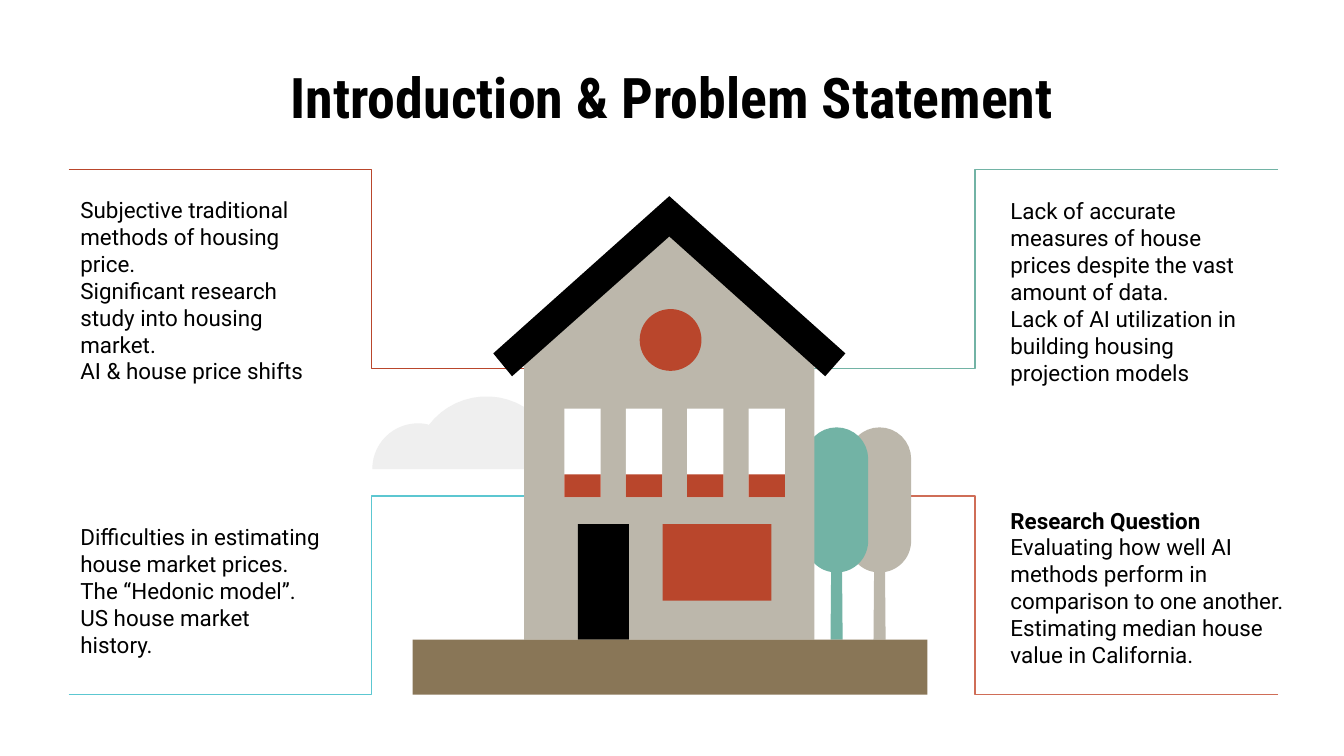
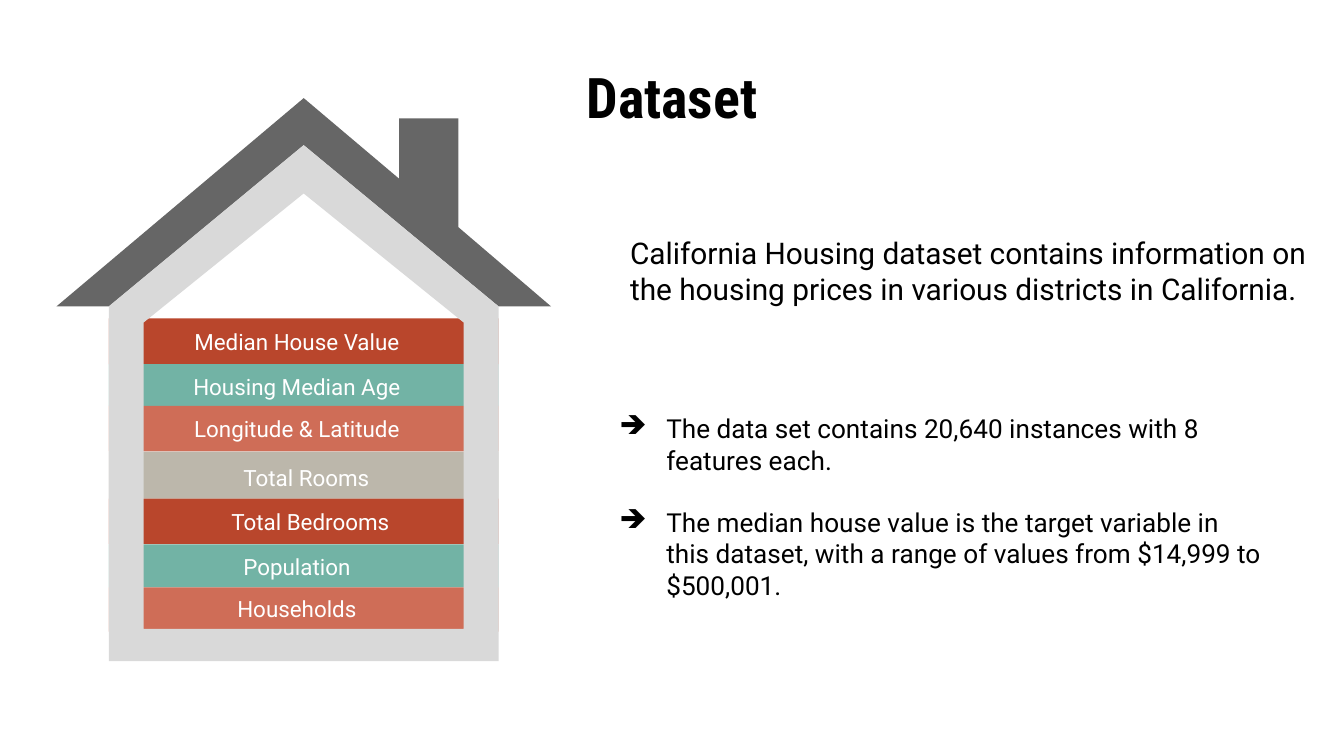
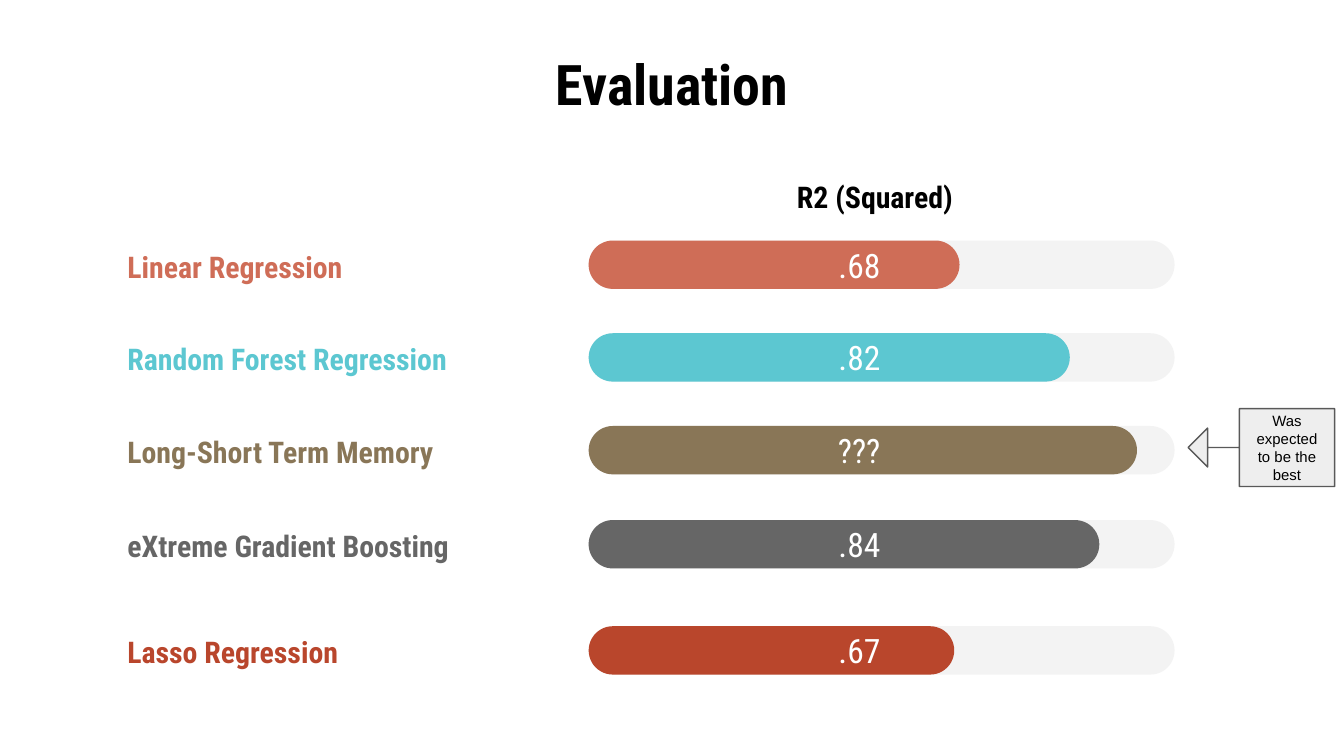
from math import cos, radians, sin

from lxml.etree import SubElement
from pptx import Presentation
from pptx.dml.color import RGBColor
from pptx.enum.shapes import MSO_CONNECTOR, MSO_SHAPE
from pptx.enum.text import MSO_ANCHOR, MSO_AUTO_SIZE, PP_ALIGN
from pptx.oxml.ns import qn
from pptx.util import Emu, Pt

# Shared look
BLACK = RGBColor(0x00, 0x00, 0x00)
WHITE = RGBColor(0xFF, 0xFF, 0xFF)
BRICK = RGBColor(0xB9, 0x46, 0x2C)
CORAL = RGBColor(0xCF, 0x6D, 0x57)
TEAL = RGBColor(0x72, 0xB3, 0xA5)
CYAN = RGBColor(0x5C, 0xC7, 0xD1)
STONE = RGBColor(0xBC, 0xB7, 0xAB)
EARTH = RGBColor(0x89, 0x76, 0x57)
SLATE = RGBColor(0x66, 0x66, 0x66)
WALL = RGBColor(0xD9, 0xD9, 0xD9)
CLOUD = RGBColor(0xEF, 0xEF, 0xEF)
TRACK = RGBColor(0xF3, 0xF3, 0xF3)
NOTE_FILL = RGBColor(0xEE, 0xEE, 0xEE)
NOTE_LINE = RGBColor(0x59, 0x59, 0x59)
BODY_FONT, HEAD_FONT, NOTE_FONT = "Roboto", "Roboto Condensed", "Arial"
LEFT, CENTER, RIGHT = PP_ALIGN.LEFT, PP_ALIGN.CENTER, PP_ALIGN.RIGHT
TOP, MIDDLE = MSO_ANCHOR.TOP, MSO_ANCHOR.MIDDLE
INSET = 10


def px(length):
    """100 px make one inch."""
    return Emu(round(length * 9144))


def write(shape, paras, size, font=BODY_FONT, color=BLACK, bold=False, align=LEFT, anchor=TOP):
    frame = shape.text_frame
    frame.word_wrap = True
    frame.auto_size = MSO_AUTO_SIZE.NONE
    frame.vertical_anchor = anchor
    frame.margin_left = frame.margin_right = px(INSET)
    frame.margin_top = frame.margin_bottom = px(INSET)
    for index, text in enumerate(paras):
        para = frame.add_paragraph() if index else frame.paragraphs[0]
        para.alignment = align
        span = para.add_run()
        span.text = text
        span.font.name = font
        span.font.size = Pt(size)
        span.font.bold = bold
        span.font.color.rgb = color
    return frame.paragraphs


def add_text(page, box, paras, size, **style):
    return write(page.shapes.add_textbox(*map(px, box)), paras, size, **style)


def paint(shape, fill, line=None):
    shape.shadow.inherit = False
    shape.fill.solid()
    shape.fill.fore_color.rgb = fill
    if line is None:
        shape.line.fill.background()
    else:
        shape.line.color.rgb = line
        shape.line.width = Pt(0.75)


def add_block(page, box, fill, kind=MSO_SHAPE.RECTANGLE, line=None):
    shape = page.shapes.add_shape(kind, *map(px, box))
    paint(shape, fill, line)
    return shape


def add_outline(page, left, top, fill, *contours):
    """Closed contours, with points measured from (left, top)."""
    builder = None
    for points in contours:
        spots = [(px(left + x), px(top + y)) for x, y in points]
        if builder is None:
            builder = page.shapes.build_freeform(*spots[0])
        else:
            builder.move_to(*spots[0])
        builder.add_line_segments(spots[1:], close=True)
    paint(builder.convert_to_shape(), fill)


def arc(x, y, radius, start, end, steps=16):
    """Points along a circle, clockwise from start to end in degrees."""
    angles = [radians(start + (end - start) * step / steps) for step in range(steps + 1)]
    return [(x + radius * cos(angle), y + radius * sin(angle)) for angle in angles]


def add_page(deck, title, top=45):
    page = deck.slides.add_slide(deck.slide_layouts[5])
    head = page.shapes.title
    head.left, head.top, head.width, head.height = map(px, (50, top, 900, 53))
    write(head, [title], 30, font=HEAD_FONT, bold=True, align=CENTER, anchor=MIDDLE)
    return page


# Introduction
def add_leader(page, start, end, color):
    leader = page.shapes.add_connector(MSO_CONNECTOR.ELBOW, *map(px, start + end))
    leader.line.color.rgb = color
    leader.line.width = Pt(0.75)
    SubElement(leader._element.spPr, qn("a:effectLst"))


def draw_tree(page, left, top, color):
    outline = arc(23.5, 23.5, 23.5, 180, 360) + arc(23.5, 84.5, 23.5, 0, 80)
    outline += [(28, 158), (19, 158)] + arc(23.5, 84.5, 23.5, 100, 180)
    add_outline(page, left, top, color, outline)


def draw_cloud(page, left, top):
    bumps = [(34, 54, 34, 180, 283), (85, 54, 54, 217, 329),
             (151, 52, 32, 232, 334), (195, 54, 21.5, 227, 360)]
    add_outline(page, left, top, CLOUD, [spot for bump in bumps for spot in arc(*bump)])


def draw_townhouse(page, left, top):
    # Walls and roof
    add_outline(page, left, top, STONE,
                [(131, 15), (23, 115), (23, 330), (239, 330), (239, 115)])
    add_outline(page, left, top, BLACK,
                [(131, 0), (0, 117), (14, 134), (131, 30), (247, 134), (262, 117)])
    # Door, shop window and round window
    add_block(page, (left + 63, top + 244, 38, 86), BLACK)
    add_block(page, (left + 126, top + 244, 81, 57), BRICK)
    add_block(page, (left + 109, top + 84, 46, 46), BRICK, MSO_SHAPE.OVAL)
    # Upper windows with flower boxes
    for column in range(4):
        window = left + 53 + column * 45.67
        add_block(page, (window, top + 158, 27, 66), WHITE)
        add_block(page, (window, top + 207, 27, 17), BRICK)
    # Ground
    add_block(page, (left - 60, top + 330, 383, 41), EARTH)


def build_introduction(deck):
    page = add_page(deck, "Introduction & Problem Statement")
    add_leader(page, (951, 517), (500, 369), CORAL)
    add_leader(page, (51, 517), (502, 369), CYAN)
    add_leader(page, (951, 126), (500, 274), TEAL)
    add_leader(page, (51, 126), (502, 274), BRICK)

    add_text(page, (50, 137, 200, 158), [
        "Subjective traditional methods of housing price.",
        "Significant research study into housing market.",
        "AI & house price shifts"], 12, anchor=MIDDLE)
    add_text(page, (50, 369, 200, 141), [
        "Difficulties in estimating house market prices.",
        "The “Hedonic model”.",
        "US house market history."], 12, anchor=MIDDLE)
    add_text(page, (742, 137, 200, 161), [
        "Lack of accurate measures of house prices despite the vast amount of data.",
        "Lack of AI utilization in building housing projection models"], 12)
    question = add_text(page, (742, 367, 250, 158), [
        "Research Question",
        "Evaluating how well AI methods perform in comparison to one another.",
        "Estimating median house value in California."], 12)
    question[0].runs[0].font.bold = True

    draw_cloud(page, 277, 295)
    draw_tree(page, 631, 318, STONE)
    draw_tree(page, 599, 318, TEAL)
    draw_townhouse(page, 367, 146)


# Dataset
def draw_feature_house(page, left, top):
    # feature, colour, band height, then label left, top and height
    features = [
        ("Median House Value", BRICK, 34, 66, 155, 53),
        ("Housing Median Age", TEAL, 31, 66, 195, 39),
        ("Longitude & Latitude", CORAL, 34, 66, 234, 24),
        ("Total Rooms", STONE, 35, 73, 263, 39),
        ("Total Bedrooms", BRICK, 34, 76, 303, 24),
        ("Population", TEAL, 32, 66, 329, 39),
        ("Households", CORAL, 33, 66, 368, 24),
    ]
    # Bands stacked inside the walls
    band_top = top + 164
    for _, color, height, *_ in features:
        add_block(page, (left + 39, band_top, 290, height), color)
        band_top += height
    # Roof with chimney
    add_outline(page, left, top, SLATE, [
        (368, 155), (329, 155), (184, 35), (39, 155), (0, 155), (184, 0),
        (255, 60), (255, 15), (299, 15), (299, 96)])
    # Walls around an open room
    add_outline(page, left, top, WALL,
                [(39, 155), (39, 419), (329, 419), (329, 155), (184, 35)],
                [(65, 167), (184, 71), (303, 167), (303, 395), (65, 395)])
    # Labels
    for feature, _, _, label_left, label_top, height in features:
        add_text(page, (left + label_left, top + label_top, 226, height), [feature],
                 12, color=WHITE, align=CENTER, anchor=MIDDLE)


def add_arrow_bullet(para):
    props = para._p.get_or_add_pPr()
    props.set("marL", str(px(50)))
    props.set("indent", str(px(-35)))
    SubElement(SubElement(props, qn("a:buClr")), qn("a:srgbClr")).set("val", str(BLACK))
    SubElement(props, qn("a:buChar")).set("char", "➔")


def build_dataset(deck):
    page = add_page(deck, "Dataset")
    draw_feature_house(page, 42, 73)
    add_text(page, (459, 165, 523, 60), [
        "California Housing dataset contains information on the housing prices "
        "in various districts in California."], 16)
    facts = add_text(page, (436, 297, 514, 208), [
        "The data set contains 20,640 instances with 8 features each.",
        "The median house value is the target variable in this dataset, "
        "with a range of values from $14,999 to $500,001."], 14)
    facts[0].space_after = Pt(16.5)
    for fact in facts:
        add_arrow_bullet(fact)


# Evaluation
def draw_score(page, left, top, model, score, length, color):
    for width, fill in ((436, TRACK), (length, color)):
        bar = add_block(page, (left + 353, top, width, 36), fill, MSO_SHAPE.ROUNDED_RECTANGLE)
        bar.adjustments[0] = 0.5
    add_text(page, (left, top, 446, 38), [model], 16, font=HEAD_FONT, color=color,
             bold=True, anchor=MIDDLE)
    add_text(page, (left + 353, top - 9, 227, 54), [score], 18, font=HEAD_FONT,
             color=WHITE, align=RIGHT, anchor=MIDDLE)


def draw_callout(page, box, text):
    callout = add_block(page, box, NOTE_FILL, MSO_SHAPE.LEFT_ARROW_CALLOUT, NOTE_LINE)
    for index, value in enumerate((0, 0.25, 0.25, 0.65)):
        callout.adjustments[index] = value
    write(callout, [text], 8, font=NOTE_FONT, align=CENTER, anchor=MIDDLE)


def build_evaluation(deck):
    page = add_page(deck, "Evaluation", top=35)
    scores = [
        (179, "Linear Regression", ".68", 276, CORAL),
        (248, "Random Forest Regression", ".82", 358, CYAN),
        (317, "Long-Short Term Memory", "???", 408, EARTH),
        (387, "eXtreme Gradient Boosting", ".84", 380, SLATE),
        (466, "Lasso Regression", ".67", 272, BRICK),
    ]
    for top, *score in scores:
        draw_score(page, 85, top, *score)
    heading = add_text(page, (571, 119, 160, 42), ["R2 (Squared)"], 16, font=HEAD_FONT,
                       bold=True, align=CENTER)[0]
    heading.line_spacing = 1.15
    heading.space_after = Pt(16)
    draw_callout(page, (884, 304, 109, 58), "Was expected to be the best")


def main():
    deck = Presentation()
    deck.slide_width, deck.slide_height = px(1000), px(562.5)
    build_introduction(deck)
    build_dataset(deck)
    build_evaluation(deck)
    deck.save("out.pptx")


if __name__ == "__main__":
    main()
